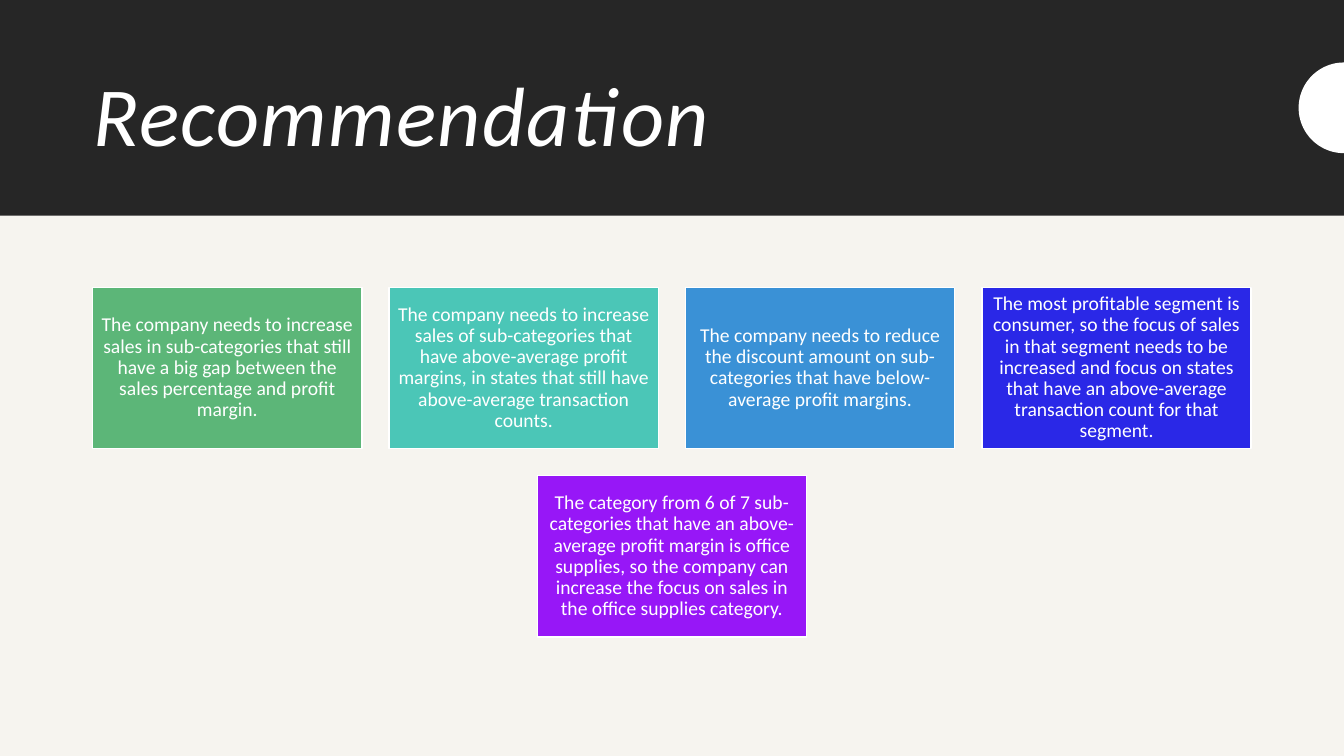
import math

import pptx
import pptx.dml.color
import pptx.enum.shapes
import pptx.enum.text
import pptx.util

Inches = pptx.util.Inches
ALIGN = pptx.enum.text.PP_ALIGN

SLIDE_WIDTH, SLIDE_HEIGHT = 13.33, 7.5
CARD_WIDTH, CARD_HEIGHT = 2.67, 1.6
CARD_STEP_X, CARD_STEP_Y = 2.94, 1.87
CARDS_TOP = 2.85
CARDS_PER_ROW = 4
DARK, CREAM, WHITE = "262626", "F6F4EF", "FFFFFF"

CARDS = [
    ("5CB678", "The company needs to increase sales in sub-categories that still have "
               "a big gap between the sales percentage and profit margin."),
    ("4BC6B7", "The company needs to increase sales of sub-categories that have "
               "above-average profit margins, in states that still have "
               "above-average transaction counts."),
    ("3A91D6", "The company needs to reduce the discount amount on sub-categories "
               "that have below-average profit margins."),
    ("2A28E7", "The most profitable segment is consumer, so the focus of sales in that "
               "segment needs to be increased and focus on states that have an "
               "above-average transaction count for that segment."),
    ("9717F7", "The category from 6 of 7 sub-categories that have an above-average "
               "profit margin is office supplies, so the company can increase the focus "
               "on sales in the office supplies category."),
]


def color(value):
    return pptx.dml.color.RGBColor.from_string(value)


def paint(shape, fill, line=None):
    shape.shadow.inherit = False
    shape.fill.solid()
    shape.fill.fore_color.rgb = color(fill)
    if line:
        shape.line.color.rgb = color(line)
        shape.line.width = pptx.util.Pt(1)
    else:
        shape.line.fill.background()


def add_rectangle(page, left, top, width, height, fill, line=None):
    box = page.shapes.add_shape(
        pptx.enum.shapes.MSO_SHAPE.RECTANGLE,
        Inches(left), Inches(top), Inches(width), Inches(height))
    paint(box, fill, line)
    return box


def write(shape, text, size, align, italic=False, spacing=0, inset=None):
    """Write one white, vertically centred paragraph; spacing is in points."""
    frame = shape.text_frame
    frame.word_wrap = True
    frame.auto_size = pptx.enum.text.MSO_AUTO_SIZE.NONE
    frame.vertical_anchor = pptx.enum.text.MSO_ANCHOR.MIDDLE
    if inset is not None:
        frame.margin_left = frame.margin_right = Inches(inset)
        frame.margin_top = frame.margin_bottom = Inches(inset)
    para = frame.paragraphs[0]
    para.alignment = align
    para.line_spacing = 0.9
    span = para.add_run()
    span.text = text
    span.font.name = "Calibri"
    span.font.size = pptx.util.Pt(size)
    span.font.italic = italic
    span.font.color.rgb = color(WHITE)
    if spacing:
        span.font._element.set("spc", str(spacing * 100))


def add_half_circle(page, right, middle, radius):
    """Draw the left half of a circle against the given right edge."""
    steps = 48
    angles = [math.pi * (0.5 + step / steps) for step in range(steps + 1)]
    points = [(Inches(right + radius * math.cos(angle)),
               Inches(middle - radius * math.sin(angle))) for angle in angles]
    builder = page.shapes.build_freeform(*points[0])
    builder.add_line_segments(points[1:], close=True)
    paint(builder.convert_to_shape(), WHITE)


def add_header(page, left, top, width, height):
    add_rectangle(page, left, top, width, height, DARK)
    title = page.shapes.title
    title.left, title.top = Inches(left + 0.83), Inches(top + 0.46)
    title.width, title.height = Inches(11.67), Inches(1.45)
    write(title, "Recommendation", 60, ALIGN.LEFT, italic=True, spacing=1)
    page.shapes._spTree.append(title._element)  # bring the title in front of the band
    add_half_circle(page, left + width, top + height / 2, 0.45)


def add_cards(page, left, top, width):
    """Place the cards in rows, each row centred in the given width."""
    for start in range(0, len(CARDS), CARDS_PER_ROW):
        row = CARDS[start:start + CARDS_PER_ROW]
        row_width = (len(row) - 1) * CARD_STEP_X + CARD_WIDTH
        row_left = left + (width - row_width) / 2
        row_top = top + start // CARDS_PER_ROW * CARD_STEP_Y
        for column, (fill, text) in enumerate(row):
            card = add_rectangle(page, row_left + column * CARD_STEP_X, row_top,
                                 CARD_WIDTH, CARD_HEIGHT, fill, WHITE)
            write(card, text, 14, ALIGN.CENTER, inset=0.06)


def main():
    deck = pptx.Presentation()
    deck.slide_width, deck.slide_height = Inches(SLIDE_WIDTH), Inches(SLIDE_HEIGHT)
    page = deck.slides.add_slide(deck.slide_layouts.get_by_name("Title Only"))
    page.background.fill.solid()
    page.background.fill.fore_color.rgb = color(CREAM)
    add_header(page, 0, 0, SLIDE_WIDTH, 2.14)
    add_cards(page, 0, CARDS_TOP, SLIDE_WIDTH)
    deck.save("out.pptx")


if __name__ == "__main__":
    main()
